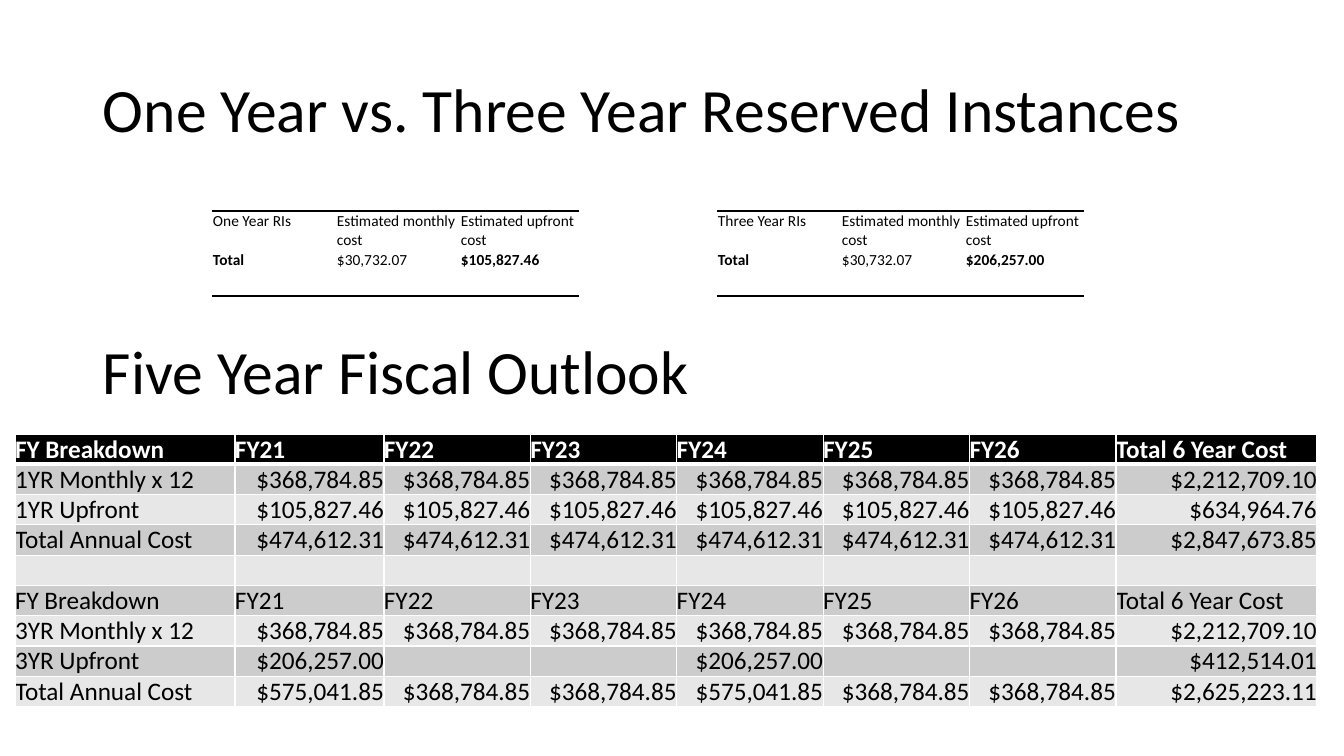
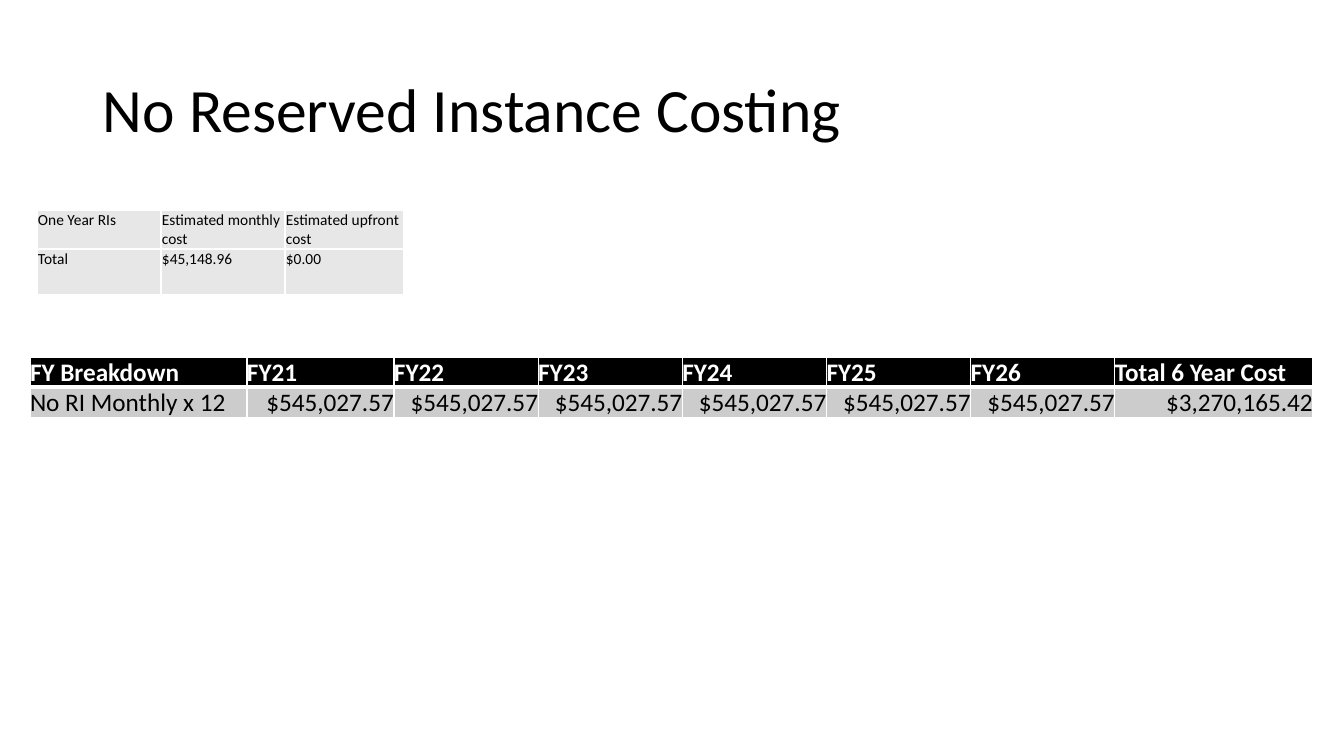
from lxml import etree
from pptx import Presentation
from pptx.dml.color import RGBColor
from pptx.enum.text import MSO_ANCHOR, PP_ALIGN
from pptx.oxml.ns import qn
from pptx.util import Emu, Pt

MIDDLE, TOP = MSO_ANCHOR.MIDDLE, MSO_ANCHOR.TOP
LEFT, RIGHT = PP_ALIGN.LEFT, PP_ALIGN.RIGHT
FONT = "Calibri"
BLACK, WHITE, MID, PALE = "000000", "FFFFFF", "CCCCCC", "E7E7E7"
NO_STYLE = "{2D5ABB26-0587-4C30-8999-92F81FD0307C}"
WIDE, HIGH = 1344, 756
SCALE = 12192000 / WIDE

TITLE_BOX = (93, 40, 1159, 146)
OUTLOOK_BOX = (93, 326, 1159, 98)
RATE_COLS, RATE_ROWS = (124, 124, 119), (39, 46)
FISCAL_ROW = 30

YEARS = ["FY21", "FY22", "FY23", "FY24", "FY25", "FY26"]
HEAD = ["FY Breakdown", *YEARS, "Total 6 Year Cost"]
MONTHLY = "$368,784.85"
UPFRONT = "$206,257.00"
OUTLOOK = [
    HEAD,
    ["1YR Monthly x 12", *[MONTHLY] * 6, "$2,212,709.10"],
    ["1YR Upfront", *["$105,827.46"] * 6, "$634,964.76"],
    ["Total Annual Cost", *["$474,612.31"] * 6, "$2,847,673.85"],
    [""] * len(HEAD),
    HEAD,
    ["3YR Monthly x 12", *[MONTHLY] * 6, "$2,212,709.10"],
    ["3YR Upfront", *[UPFRONT, "", ""] * 2, "$412,514.01"],
    ["Total Annual Cost", *["$575,041.85", MONTHLY, MONTHLY] * 2, "$2,625,223.11"],
]
NO_RI = [HEAD, ["No RI Monthly x 12", *["$545,027.57"] * 6, "$3,270,165.42"]]

# title, rate tables (left, top, name, monthly, upfront, ruled),
# second title, fiscal table (left, top, width, first, second, last column, rows)
SLIDES = [
    {
        "title": "One Year vs. Three Year Reserved Instances",
        "rates": [
            (212, 211, "One Year RIs", "$30,732.07", "$105,827.46", True),
            (717, 211, "Three Year RIs", "$30,732.07", UPFRONT, True),
        ],
        "second": "Five Year Fiscal Outlook",
        "fiscal": (15, 434, 1302, 220, 149, 201, OUTLOOK),
    },
    {
        "title": "No Reserved Instance Costing",
        "rates": [(37, 210, "One Year RIs", "$45,148.96", "$0.00", False)],
        "second": None,
        "fiscal": (30, 357, 1283, 217, 147, 198, NO_RI),
    },
]


def px(n):
    return Emu(round(n * SCALE))


def rgb(code):
    return RGBColor.from_string(code)


def style(para, size, color=BLACK, bold=False, align=LEFT):
    para.alignment = align
    for run in para.runs:
        font = run.font
        font.name, font.size, font.bold = FONT, Pt(size), bold
        font.color.rgb = rgb(color)


def add_title(slide, text, box):
    frame = slide.shapes.add_textbox(*map(px, box)).text_frame
    frame.word_wrap = True
    frame.vertical_anchor = MIDDLE
    frame.text = text
    para = frame.paragraphs[0]
    para.line_spacing = 0.9
    style(para, 44)


def add_grid(slide, left, top, cols, rows):
    """Add a table that carries no built-in style."""
    shape = slide.shapes.add_table(
        len(rows), len(cols), px(left), px(top), px(sum(cols)), px(sum(rows)))
    table = shape.table
    table.first_row = table.horz_banding = False
    shape._element.find(".//" + qn("a:tableStyleId")).text = NO_STYLE
    for col, width in zip(table.columns, cols):
        col.width = px(width)
    for row, height in zip(table.rows, rows):
        row.height = px(height)
    return table


def set_cell(cell, text, fill, anchor, inset, edges):
    """Fill a cell; edges lists (side, colour, points) in L, R, T, B order."""
    cell.text = text
    cell.vertical_anchor = anchor
    cell.margin_left = cell.margin_right = cell.margin_top = px(inset)
    cell.margin_bottom = 0
    cell.fill.solid()
    cell.fill.fore_color.rgb = rgb(fill)
    props = cell._tc.get_or_add_tcPr()
    for i, (side, color, points) in enumerate(edges):
        line = etree.Element(qn("a:ln" + side), w=str(Pt(points)))
        solid = etree.SubElement(line, qn("a:solidFill"))
        etree.SubElement(solid, qn("a:srgbClr"), val=color)
        props.insert(i, line)
    return cell.text_frame.paragraphs[0]


def add_rates(slide, left, top, name, monthly, upfront, ruled):
    data = [
        [name, "Estimated monthly cost", "Estimated upfront cost"],
        ["Total", monthly, upfront],
    ]
    table = add_grid(slide, left, top, RATE_COLS, RATE_ROWS)
    for r, row in enumerate(data):
        if ruled:
            edges = [("TB"[r], BLACK, 2)]
        else:
            edges = [(side, WHITE, 1) for side in "LRTB"]
        for c, text in enumerate(row):
            para = set_cell(table.cell(r, c), text, WHITE if ruled else PALE,
                            TOP, 1, edges)
            style(para, 11, bold=ruled and r == 1 and c != 1)


def add_fiscal(slide, left, top, width, first, second, last, data):
    rest = len(YEARS) - 1
    cols = [first, second, *[(width - first - second - last) / rest] * rest, last]
    table = add_grid(slide, left, top, cols, [FISCAL_ROW] * len(data))
    for r, row in enumerate(data):
        head = r == 0
        fill = BLACK if head else (PALE, MID)[r % 2]
        thick = {0: "B", 1: "T"}.get(r)
        edges = [(side, WHITE, 3 if side == thick else 1) for side in "LRTB"]
        for c, text in enumerate(row):
            para = set_cell(table.cell(r, c), text, fill, MIDDLE, 0, edges)
            style(para, 18, WHITE if head else BLACK, head,
                  RIGHT if text.startswith("$") else LEFT)


def main():
    deck = Presentation()
    deck.slide_width, deck.slide_height = px(WIDE), px(HIGH)
    for page in SLIDES:
        slide = deck.slides.add_slide(deck.slide_layouts[6])
        add_title(slide, page["title"], TITLE_BOX)
        for rate in page["rates"]:
            add_rates(slide, *rate)
        if page["second"]:
            add_title(slide, page["second"], OUTLOOK_BOX)
        add_fiscal(slide, *page["fiscal"])
    deck.save("out.pptx")


if __name__ == "__main__":
    main()
